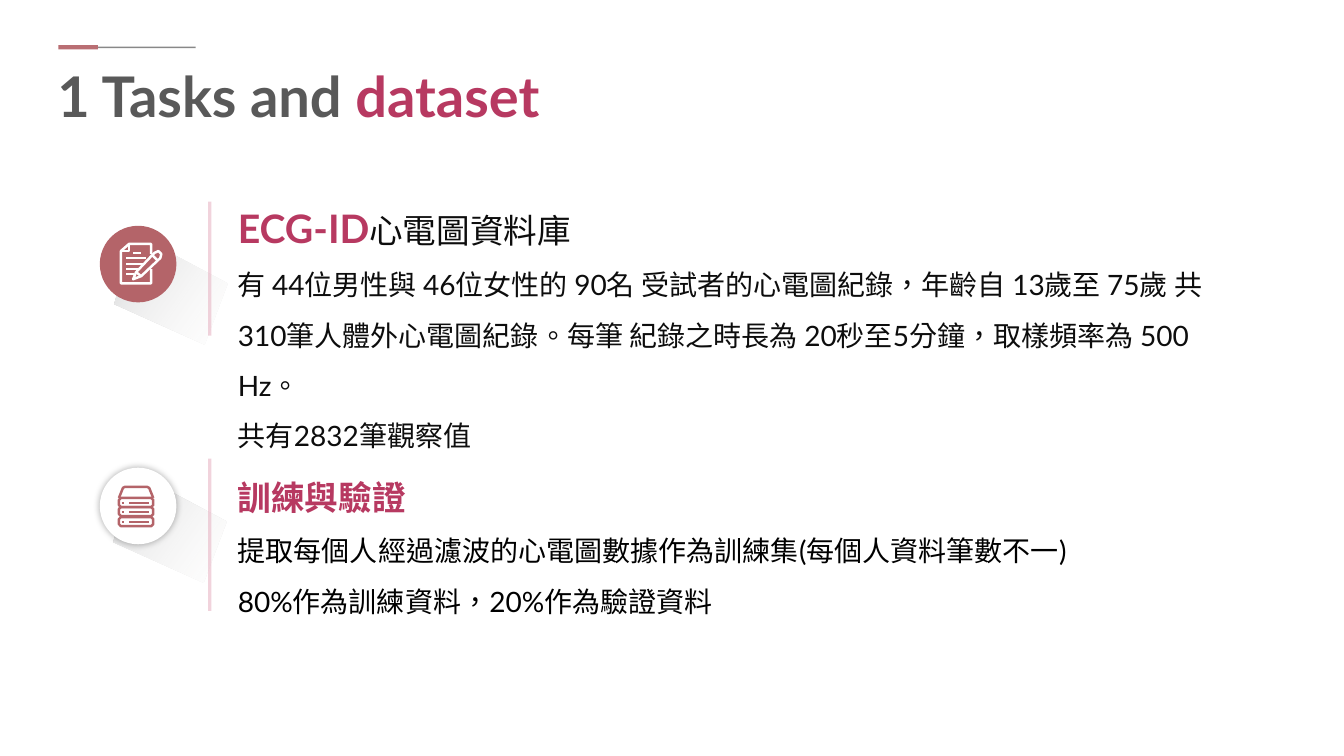
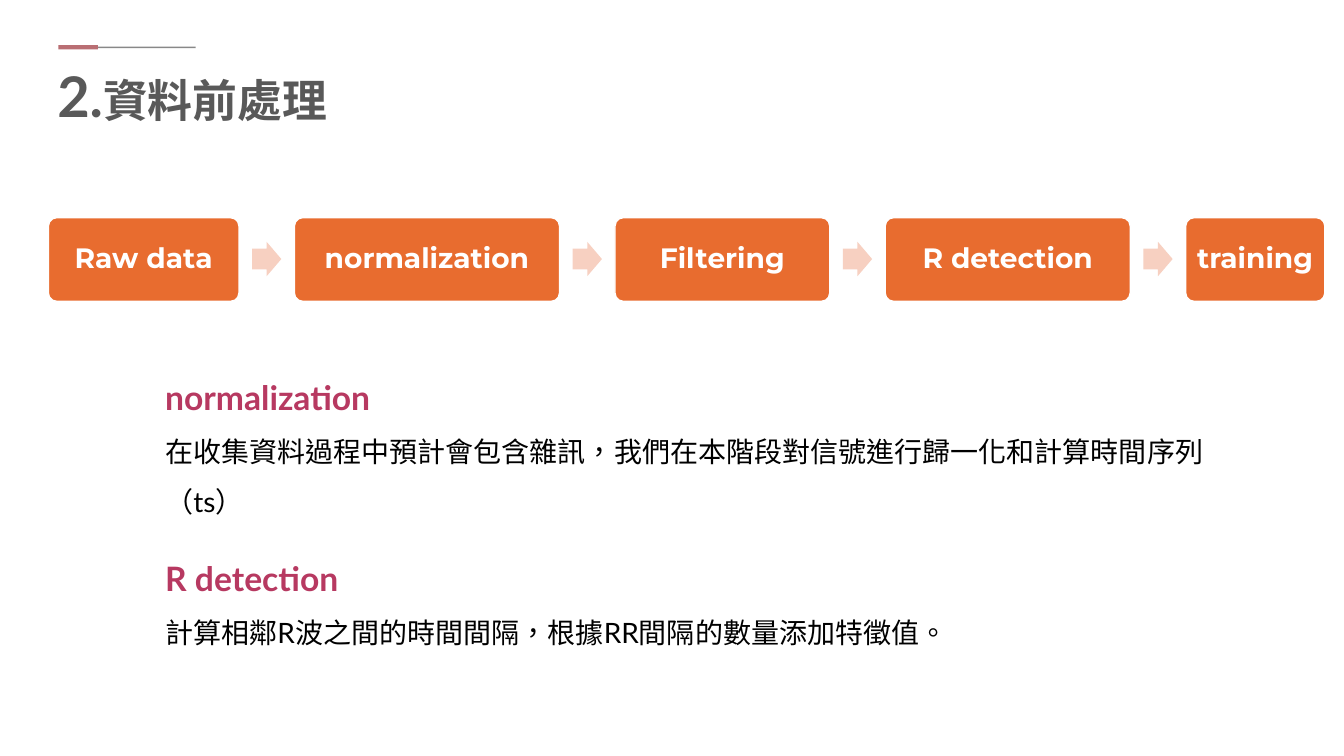
from dataclasses import dataclass
from typing import Optional, Sequence

from lxml import etree
from pptx import Presentation
from pptx import util as u
from pptx.dml.color import RGBColor
from pptx.enum import shapes, text
from pptx.oxml import parse_xml
from pptx.oxml.ns import nsdecls, qn
from pptx.slide import Slide

PX = 9144  # EMU per px, 100 px to the inch
Point = tuple[int, int]


@dataclass(frozen=True)
class Theme:
    font: str = "Lato"
    flow_font: str = "Montserrat"
    gray: str = "595959"
    rule: str = "808080"
    rose: str = "B46469"
    pink: str = "E4A9BB"
    berry: str = "B73961"
    orange: str = "E86C2F"
    peach: str = "F7D0C1"
    ink: str = "0D0D0D"
    black: str = "000000"
    white: str = "FFFFFF"
    title: int = 40
    title_small: int = 32
    lead: int = 28
    heading: int = 24
    body: int = 20


THEME = Theme()


@dataclass(frozen=True)
class Run:
    text: str
    size: int
    color: str
    bold: bool = False
    font: str = THEME.font


@dataclass(frozen=True)
class Badge:
    top: int
    shadow: Sequence[Point]
    fill: str
    icon_color: str
    icon: Sequence[Sequence[Point]]
    glow: bool = False


@dataclass(frozen=True)
class Step:
    label: str
    width: int


def heading(content: str) -> list[Run]:
    return [Run(content, THEME.heading, THEME.berry, True)]


def body(content: str, color: str = THEME.black) -> list[Run]:
    return [Run(content, THEME.body, color)]


def ring(*points: Point) -> list[Point]:
    return [*points, points[0]]


NOTE_ICON = [
    [(150, 252), (150, 242), (128, 242), (120, 249), (120, 281), (150, 281), (150, 267)],
    [(128, 242), (128, 249), (120, 249)],
    *[[(left, y), (right, y)] for left, right, y in
      [(132, 140, 251), (125, 145, 256), (125, 142, 262), (125, 138, 267), (125, 133, 272)]],
    ring((132, 277), (135, 270), (153, 251), (157, 249), (160, 252), (159, 256), (140, 274)),
    [(151, 253), (156, 258)],
    [(135, 270), (140, 274)],
]

SERVER_ICON = [
    [(118, 494), (122, 484), (124, 483), (146, 483), (148, 484), (152, 494)],
    *[ring((120, y), (150, y), (152, y + 2), (152, y + 7), (150, y + 9),
           (120, y + 9), (118, y + 7), (118, y + 2)) for y in (494, 503, 513)],
    *[[(left, y), (right, y)] for y in (499, 508, 518)
      for left, right in ((121, 123), (128, 148))],
]

BADGES = [
    Badge(224, [(112, 292), (143, 226), (226, 291), (193, 347)],
          THEME.rose, THEME.white, NOTE_ICON),
    Badge(464, [(111, 528), (142, 462), (225, 527), (192, 583)],
          THEME.white, THEME.rose, SERVER_ICON, glow=True),
]

STEPS = [Step("Raw data", 189), Step("normalization", 263), Step("Filtering", 213),
         Step("R detection", 243), Step("training", 138)]


def write(shape, paragraphs: Sequence[Sequence[Run]], *, spacing: Optional[float] = None,
          align: Optional[text.PP_ALIGN] = None, wrap: bool = True) -> None:
    frame = shape.text_frame
    frame.word_wrap = wrap
    for index, runs in enumerate(paragraphs):
        paragraph = frame.add_paragraph() if index else frame.paragraphs[0]
        paragraph.alignment = align
        paragraph.line_spacing = spacing
        for item in runs:
            run = paragraph.add_run()
            run.text = item.text
            run._r.get_or_add_rPr().set("lang", "zh-TW")
            run.font.name = item.font
            run.font.size = u.Pt(item.size)
            run.font.bold = item.bold
            run.font.color.rgb = RGBColor.from_string(item.color)


def add_text(slide: Slide, box: tuple[int, int, int, int],
             paragraphs: Sequence[Sequence[Run]], **options) -> None:
    shape = slide.shapes.add_textbox(*(value * PX for value in box))
    write(shape, paragraphs, **options)
    shape.text_frame.auto_size = text.MSO_AUTO_SIZE.SHAPE_TO_FIT_TEXT


def add_line(slide: Slide, start: Point, end: Point, color: str, width: float,
             opacity: int = 100) -> None:
    line = slide.shapes.add_connector(
        shapes.MSO_CONNECTOR.STRAIGHT, *(value * PX for value in (*start, *end)))
    line.line.color.rgb = RGBColor.from_string(color)
    line.line.width = u.Pt(width)
    properties = line._element.spPr
    for tint in properties.iter(qn("a:srgbClr")):
        etree.SubElement(tint, qn("a:alpha")).set("val", str(opacity * 1000))
    etree.SubElement(properties, qn("a:effectLst"))


def add_preset(slide: Slide, kind: shapes.MSO_SHAPE, box: tuple[int, int, int, int],
               fill: str, outline: Optional[str] = None,
               adjustments: Sequence[float] = ()):
    shape = slide.shapes.add_shape(kind, *(value * PX for value in box))
    shape.shadow.inherit = False
    shape.fill.solid()
    shape.fill.fore_color.rgb = RGBColor.from_string(fill)
    if outline:
        shape.line.color.rgb = RGBColor.from_string(outline)
        shape.line.width = u.Pt(1)
    else:
        shape.line.fill.background()
    for index, value in enumerate(adjustments):
        shape.adjustments[index] = value
    return shape


def add_outline(slide: Slide, points: Sequence[Point]):
    """Add an unfilled freeform, closed when it ends where it began."""
    builder = slide.shapes.build_freeform(*points[0], scale=PX)
    builder.add_line_segments(points[1:], close=points[0] == points[-1])
    shape = builder.convert_to_shape()
    shape.shadow.inherit = False
    shape.fill.background()
    return shape


def add_long_shadow(slide: Slide, points: Sequence[Point]) -> None:
    shape = add_outline(slide, ring(*points))
    shape.line.fill.background()
    shape.rotation = 350.1
    stops = "".join(
        f'<a:gs pos="{position * 1000}"><a:srgbClr val="{color}">'
        f'<a:alpha val="{opacity * 1000}"/></a:srgbClr></a:gs>'
        for position, color, opacity in
        [(0, "FEFBF9", 0), (65, "CCCDCE", 40), (100, "BFBFBF", 100)])
    gradient = parse_xml(
        f'<a:gradFill {nsdecls("a")} rotWithShape="1"><a:gsLst>{stops}</a:gsLst>'
        f'<a:lin ang="{225 * 60000}" scaled="0"/></a:gradFill>')
    properties = shape._element.spPr
    properties.replace(properties.find(qn("a:noFill")), gradient)


def add_glow(shape) -> None:
    """Add a soft shadow spread evenly around the shape."""
    effects = shape._element.spPr.find(qn("a:effectLst"))
    effects.append(parse_xml(
        f'<a:outerShdw {nsdecls("a")} blurRad="{u.Pt(5)}" dist="0" dir="0" algn="ctr" '
        f'rotWithShape="0"><a:srgbClr val="{THEME.black}"><a:alpha val="30000"/>'
        f'</a:srgbClr></a:outerShdw>'))


def add_badge(slide: Slide, badge: Badge) -> None:
    add_long_shadow(slide, badge.shadow)
    circle = add_preset(slide, shapes.MSO_SHAPE.OVAL, (99, badge.top, 76, 76), badge.fill)
    if badge.glow:
        add_glow(circle)
    for stroke in badge.icon:
        if len(stroke) == 2:
            add_line(slide, *stroke, badge.icon_color, 1.75)
        else:
            shape = add_outline(slide, stroke)
            shape.line.color.rgb = RGBColor.from_string(badge.icon_color)
            shape.line.width = u.Pt(1.75)


def add_flow(slide: Slide, steps: Sequence[Step]) -> None:
    left, top, height, gap = 48, 216, 83, 55
    arrow_width, arrow_height = 29, 34
    for index, step in enumerate(steps):
        if index:
            add_preset(slide, shapes.MSO_SHAPE.RIGHT_ARROW,
                       (left - gap + (gap - arrow_width) // 2,
                        top + (height - arrow_height) // 2, arrow_width, arrow_height),
                       THEME.peach, adjustments=(0.6, 0.5))
        box = add_preset(slide, shapes.MSO_SHAPE.ROUNDED_RECTANGLE,
                         (left, top, step.width, height),
                         THEME.orange, THEME.white, (0.1,))
        write(box, [[Run(step.label, THEME.body, THEME.white, True, THEME.flow_font)]],
              spacing=0.9, align=text.PP_ALIGN.CENTER, wrap=False)
        box.text_frame.vertical_anchor = text.MSO_ANCHOR.MIDDLE
        left += step.width + gap


def add_titled_slide(presentation, title: Sequence[Run]) -> Slide:
    slide = presentation.slides.add_slide(presentation.slide_layouts[6])
    add_line(slide, (97, 47), (194, 47), THEME.rule, 1, 92)
    add_line(slide, (58, 47), (97, 47), THEME.rose, 3, 92)
    add_text(slide, (47, 56, 1233, 77), [title])
    return slide


def build_dataset_slide(presentation) -> None:
    slide = add_titled_slide(presentation, [
        Run("1 Tasks and ", THEME.title, THEME.gray, True),
        Run("dataset", THEME.title, THEME.berry, True)])
    for badge in BADGES:
        add_badge(slide, badge)
    for top, bottom in ((200, 333), (455, 606)):
        add_line(slide, (208, top), (208, bottom), THEME.pink, 2.25, 49)
    add_text(slide, (226, 174, 1029, 227), [
        [Run("ECG-ID", THEME.lead, THEME.berry, True),
         Run("心電圖資料庫", THEME.heading, THEME.ink)],
        body("有 44位男性與 46位女性的 90名 受試者的心電圖紀錄，年齡自 13歲至 75歲 "
             "共 310筆人體外心電圖紀錄。每筆 紀錄之時長為 20秒至5分鐘，"
             "取樣頻率為 500 Hz。", THEME.ink),
        body("共有2832筆觀察值", THEME.ink)], spacing=1.5)
    add_text(slide, (226, 448, 1105, 166), [
        heading("訓練與驗證"),
        body("提取每個人經過濾波的心電圖數據作為訓練集(每個人資料筆數不一)"),
        body("80%作為訓練資料，20%作為驗證資料")], spacing=1.5)


def build_preprocessing_slide(presentation) -> None:
    slide = add_titled_slide(presentation, [
        Run("2.", THEME.title, THEME.gray, True),
        Run("資料前處理", THEME.title_small, THEME.gray, True)])
    add_flow(slide, STEPS)
    for top, name, detail in (
            (349, "normalization",
             "在收集資料過程中預計會包含雜訊，我們在本階段對信號進行歸一化和計算時間序列（ts）"),
            (529, "R detection",
             "計算相鄰R波之間的時間間隔，根據RR間隔的數量添加特徵值。")):
        add_text(slide, (154, top, 1105, 116), [heading(name), body(detail)], spacing=1.5)


def main() -> None:
    presentation = Presentation()
    presentation.slide_width = u.Emu(1333 * PX)
    presentation.slide_height = u.Emu(750 * PX)
    build_dataset_slide(presentation)
    build_preprocessing_slide(presentation)
    presentation.save("out.pptx")


if __name__ == "__main__":
    main()
